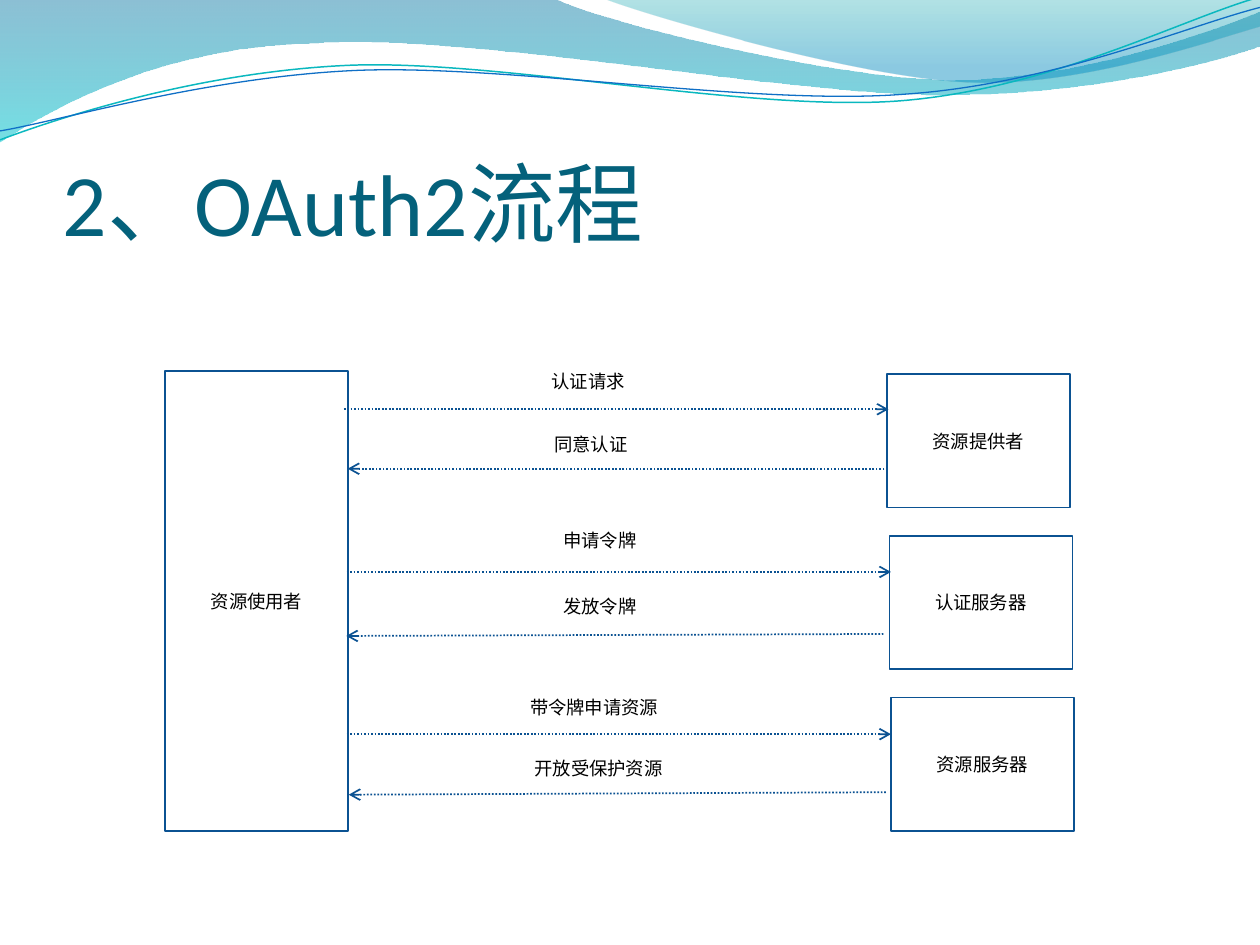
from lxml import etree
from pptx import Presentation
from pptx import util as u
from pptx.dml.color import RGBColor
from pptx.enum import dml, shapes, text
from pptx.oxml.ns import qn

FONT = "Calibri"
BLUE = "0B5292"
BLACK = "000000"
TILT = 357.3

BAND = [(0, 0), (11.18, -0.03),
        [(12.09, 0.43), (16.87, 1.6), (19.25, 1.6)],
        [(21.67, 1.6), (24.33, 0.66), (25.4, 0.23)], (25.43, 0.91),
        [(24.97, 1.12), (22.1, 1.93), (18.95, 1.91)],
        [(15.8, 1.91), (9.7, 0.71), (6.53, 0.86)],
        [(3.28, 0.91), (1.17, 2.11), (-0.03, 2.87)], (0, 0)]
CREST = [(12.17, -0.03),
         [(12.93, 0.28), (17.32, 1.57), (19.53, 1.65)],
         [(21.74, 1.75), (24.41, 0.81), (25.4, 0.53)], (25.4, 0),
         (12.17, -0.03)]
TEAL_LINE = [(-0.05, 2.22),
             [(1.19, 1.82), (4.02, 1.04), (7.05, 1.05)],
             [(10.05, 1.07), (15.02, 2.37), (18.08, 2.29)],
             [(21.13, 2.2), (23.86, 0.91), (25.41, 0.55)]]
BLUE_LINE = [(-0.04, 2.04),
             [(1.16, 1.9), (4.17, 1.15), (7.2, 1.16)],
             [(10.25, 1.18), (15.13, 2.25), (18.19, 2.16)],
             [(21.21, 2.1), (23.93, 1.06), (25.45, 0.75)]]

SERVERS = [("资源提供者", 17.88), ("认证服务器", 17.93), ("资源服务器", 17.96)]
ARROWS = [(6.93, 8.25, 17.91, 8.25), (17.83, 9.45, 7.01, 9.45),
          (6.99, 11.53, 17.96, 11.53), (17.81, 12.78, 6.98, 12.82),
          (6.99, 14.8, 17.96, 14.8), (17.86, 15.97, 7.03, 16.02)]
LABELS = [("认证请求", 10.87, 7.34, 3.73), ("同意认证", 10.93, 8.61, 3.73),
          ("申请令牌", 11.11, 10.54, 3.73), ("发放令牌", 11.11, 11.87, 3.73),
          ("带令牌申请资源", 10.44, 13.9, 5.05),
          ("开放受保护资源", 10.53, 15.14, 5.05)]


def rgb(color):
    return RGBColor.from_string(color)


def cm(*values):
    return [u.Cm(v) for v in values]


def add_outline(s, path, close):
    ends = [cm(*(part if isinstance(part, tuple) else part[-1])) for part in path]
    builder = s.shapes.build_freeform(*ends[0], scale=1.0)
    builder.add_line_segments(ends[1:], close=close)
    sp = builder.convert_to_shape()
    sp.shadow.inherit = False
    segments = list(sp._element.spPr.iter(qn("a:lnTo")))
    for segment, part in zip(segments, path[1:]):
        if isinstance(part, list):
            curve = etree.Element(qn("a:cubicBezTo"))
            for x, y in part:
                etree.SubElement(curve, qn("a:pt"), x=str(u.Cm(x) - sp.left),
                                 y=str(u.Cm(y) - sp.top))
            segment.getparent().replace(segment, curve)
    return sp


def add_wave(s, path, stops):
    sp = add_outline(s, path, True)
    sp.line.fill.background()
    sp.fill.gradient()
    sp.fill.gradient_angle = 270
    for stop, (position, color, _) in zip(sp.fill.gradient_stops, stops):
        stop.position = position
        stop.color.rgb = rgb(color)
    colors = sp._element.spPr.iter(qn("a:srgbClr"))
    for clr, (_, _, opacity) in zip(colors, stops):
        etree.SubElement(clr, qn("a:alpha"), val=str(opacity * 1000))


def add_curve(s, path, color, width):
    sp = add_outline(s, path, False)
    sp.rotation = TILT
    sp.fill.background()
    sp.line.color.rgb = rgb(color)
    sp.line.width = u.Pt(width)


def write(tf, content, size, color, align):
    tf.word_wrap = True
    p = tf.paragraphs[0]
    p.add_run().text = content
    p.alignment = align
    p.font.name = FONT
    p.font.size = u.Pt(size)
    p.font.color.rgb = rgb(color)


def add_title(s, content):
    tf = s.shapes.add_textbox(*cm(1.27, 1.95, 22.86, 3.17)).text_frame
    tf.margin_left = tf.margin_right = tf.margin_bottom = 0
    tf.vertical_anchor = text.MSO_ANCHOR.BOTTOM
    write(tf, content, 50, "04617B", text.PP_ALIGN.LEFT)


def add_box(s, content, x, y, w, h):
    sp = s.shapes.add_shape(shapes.MSO_SHAPE.RECTANGLE, *cm(x, y, w, h))
    sp.shadow.inherit = False
    sp.fill.background()
    sp.line.color.rgb = rgb(BLUE)
    sp.line.width = u.Pt(1)
    sp.text_frame.vertical_anchor = text.MSO_ANCHOR.MIDDLE
    write(sp.text_frame, content, 10.5, BLACK, text.PP_ALIGN.CENTER)


def add_arrow(s, ends):
    line = s.shapes.add_connector(shapes.MSO_CONNECTOR.STRAIGHT, *cm(*ends))
    line.line.color.rgb = rgb(BLUE)
    line.line.width = u.Pt(1)
    line.line.dash_style = dml.MSO_LINE.ROUND_DOT
    spPr = line._element.spPr
    etree.SubElement(spPr.find(qn("a:ln")), qn("a:tailEnd"), type="arrow")
    etree.SubElement(spPr, qn("a:effectLst"))


def add_label(s, content, x, y, w):
    tf = s.shapes.add_textbox(*cm(x, y, w, 1.12)).text_frame
    write(tf, content, 10.5, BLACK, text.PP_ALIGN.JUSTIFY)


def main():
    prs = Presentation()
    prs.slide_width, prs.slide_height = cm(25.4, 19.05)
    s = prs.slides.add_slide(prs.slide_layouts[6])
    add_wave(s, BAND, [(0, "0074A1", 45), (1, "00C6CF", 55)])
    add_wave(s, CREST, [(0, "00A1A9", 30), (0.8, "008BBF", 45)])
    add_curve(s, TEAL_LINE, "0AB8BF", 0.85)
    add_curve(s, BLUE_LINE, "0F6FC6", 0.75)
    add_title(s, "2、OAuth2流程")
    add_box(s, "资源使用者", 3.33, 7.48, 3.69, 9.28)
    for i, (name, x) in enumerate(SERVERS):
        add_box(s, name, x, 7.54 + 3.26 * i, 3.69, 2.69)
    for ends in ARROWS:
        add_arrow(s, ends)
    for label in LABELS:
        add_label(s, *label)
    prs.save("out.pptx")


if __name__ == "__main__":
    main()
